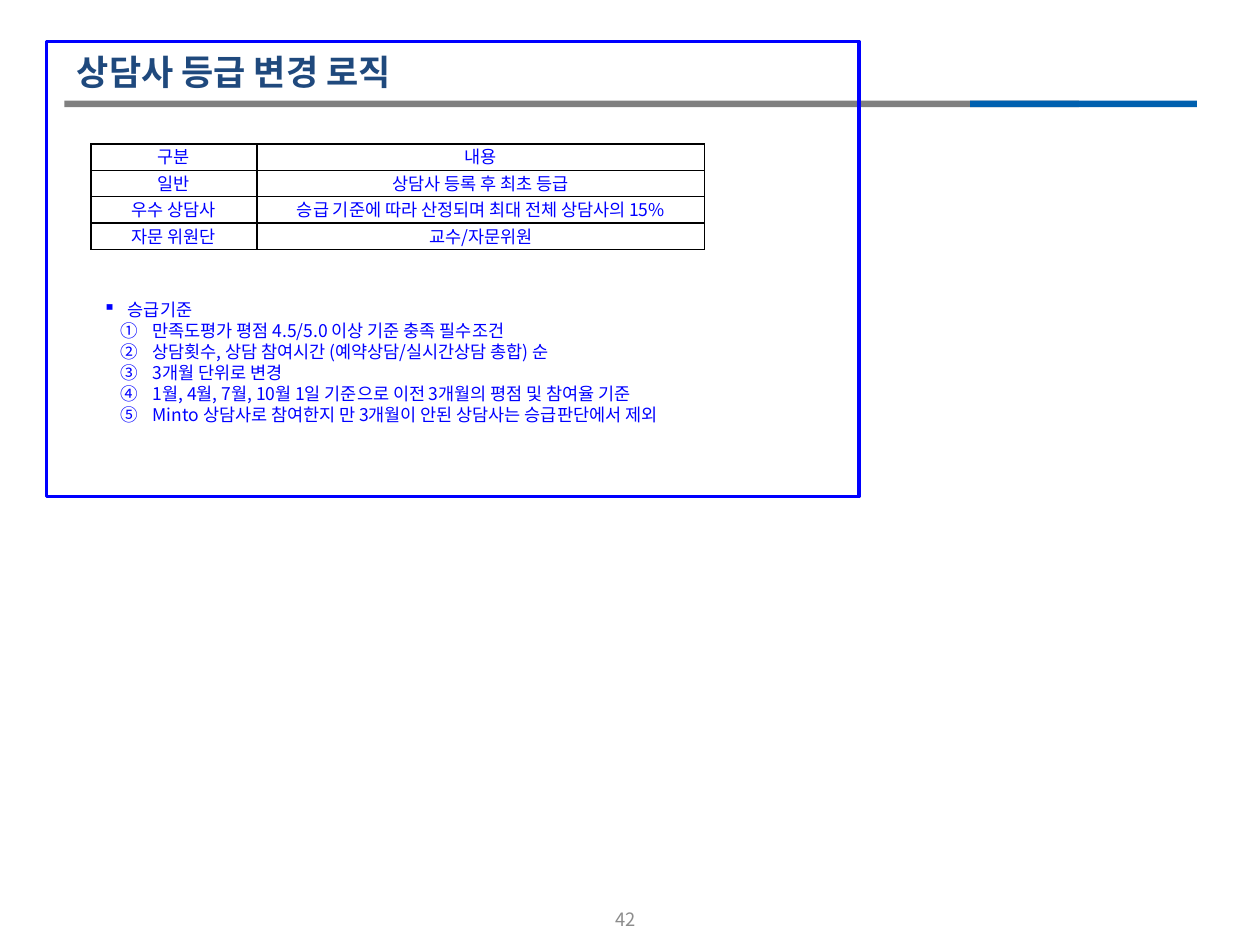
from dataclasses import dataclass

import pptx
import pptx.dml.color
import pptx.enum.shapes
import pptx.enum.text
import pptx.oxml.ns
import pptx.util
from lxml import etree
from pptx.util import Cm

Color = pptx.dml.color.RGBColor
Align = pptx.enum.text.PP_ALIGN
Anchor = pptx.enum.text.MSO_ANCHOR
qn = pptx.oxml.ns.qn


@dataclass(frozen=True)
class Theme:
    font: str = "Noto Sans CJK KR"
    title: Color = Color(0x1F, 0x49, 0x7D)
    accent: Color = Color(0x00, 0x00, 0xFF)
    rule_grey: Color = Color(0x80, 0x80, 0x80)
    rule_blue: Color = Color(0x00, 0x60, 0xAF)
    page: Color = Color(0x8C, 0x8C, 0x8C)
    border: str = "000000"
    title_size: float = 20
    body_size: float = 10
    page_size: float = 10.5
    list_leading: float = 12


@dataclass(frozen=True)
class Box:
    left: float
    top: float
    width: float
    height: float

    def lengths(self) -> tuple:
        return tuple(Cm(n) for n in (self.left, self.top, self.width, self.height))


@dataclass(frozen=True)
class ListItem:
    text: str
    margin: float = 1.0
    hanging: float = 0.64
    tag: str = "a:buAutoNum"
    attribute: tuple = ("type", "circleNumDbPlain")


THEME = Theme()

GRADES = [
    ("구분", "내용"),
    ("일반", "상담사 등록 후 최초 등급"),
    ("우수 상담사", "승급 기준에 따라 산정되며 최대 전체 상담사의 15%"),
    ("자문 위원단", "교수/자문위원"),
]
COLUMN_WIDTHS = (3.35, 9.02)

CRITERIA = [
    ListItem("승급기준", 0.5, 0.5, "a:buChar", ("char", "▪")),
    ListItem("만족도평가 평점 4.5/5.0 이상 기준 충족 필수조건"),
    ListItem("상담횟수, 상담 참여시간 (예약상담/실시간상담 총합) 순"),
    ListItem("3개월 단위로 변경"),
    ListItem("1월, 4월, 7월, 10월 1일 기준으로 이전 3개월의 평점 및 참여율 기준"),
    ListItem("Minto 상담사로 참여한지 만 3개월이 안된 상담사는 승급판단에서 제외"),
]


def add_run(paragraph, text: str, size: float, color: Color, bold: bool = False) -> None:
    run = paragraph.add_run()
    run.text = text
    run.font.name = THEME.font
    run.font.size = pptx.util.Pt(size)
    run.font.color.rgb = color
    run.font.bold = bold
    etree.SubElement(run.font._element, qn("a:ea"), typeface=THEME.font)


def add_text_frame(slide, box: Box, anchor=Anchor.TOP, wrap: bool = False):
    frame = slide.shapes.add_textbox(*box.lengths()).text_frame
    frame.word_wrap = wrap
    frame.vertical_anchor = anchor
    return frame


def add_rectangle(slide, box: Box):
    shape = slide.shapes.add_shape(pptx.enum.shapes.MSO_SHAPE.RECTANGLE, *box.lengths())
    shape.shadow.inherit = False
    return shape


def add_bar(slide, box: Box, color: Color) -> None:
    bar = add_rectangle(slide, box)
    bar.fill.solid()
    bar.fill.fore_color.rgb = color
    bar.line.fill.background()


def set_borders(cell) -> None:
    properties = cell._tc.get_or_add_tcPr()
    for index, side in enumerate(("a:lnL", "a:lnR", "a:lnT", "a:lnB")):
        line = etree.Element(qn(side), w=str(pptx.util.Pt(1)))
        fill = etree.SubElement(line, qn("a:solidFill"))
        etree.SubElement(fill, qn("a:srgbClr"), val=THEME.border)
        properties.insert(index, line)


def add_grade_table(slide, box: Box) -> None:
    table = slide.shapes.add_table(len(GRADES), len(COLUMN_WIDTHS), *box.lengths()).table
    table.first_row = table.horz_banding = False
    for column, width in zip(table.columns, COLUMN_WIDTHS):
        column.width = Cm(width)
    for row_index, texts in enumerate(GRADES):
        for column_index, text in enumerate(texts):
            cell = table.cell(row_index, column_index)
            cell.margin_left = cell.margin_right = Cm(0.18)
            cell.margin_top = cell.margin_bottom = 0
            cell.fill.background()
            set_borders(cell)
            paragraph = cell.text_frame.paragraphs[0]
            paragraph.alignment = Align.CENTER
            add_run(paragraph, text, THEME.body_size, THEME.accent)


def add_criteria(slide, box: Box) -> None:
    frame = add_text_frame(slide, box)
    for index, item in enumerate(CRITERIA):
        paragraph = frame.add_paragraph() if index else frame.paragraphs[0]
        paragraph.line_spacing = pptx.util.Pt(THEME.list_leading)
        properties = paragraph._p.get_or_add_pPr()
        properties.set("marL", str(Cm(item.margin)))
        properties.set("indent", str(-Cm(item.hanging)))
        name, value = item.attribute
        etree.SubElement(properties, qn(item.tag)).set(name, value)
        add_run(paragraph, item.text, THEME.body_size, THEME.accent)


def main() -> None:
    presentation = pptx.Presentation()
    presentation.slide_width = Cm(25.4)
    presentation.slide_height = Cm(19.05)
    slide = presentation.slides.add_slide(presentation.slide_layouts[6])

    # Title and the two-tone rule below it
    title = add_text_frame(slide, Box(1.3, 0.89, 7.67, 1.12), Anchor.MIDDLE)
    add_run(title.paragraphs[0], "상담사 등급 변경 로직", THEME.title_size, THEME.title, True)
    add_bar(slide, Box(1.3, 2.03, 20.45, 0.13), THEME.rule_grey)
    add_bar(slide, Box(19.56, 2.03, 4.57, 0.13), THEME.rule_blue)

    # Promotion criteria
    add_criteria(slide, Box(1.83, 5.9, 12.83, 4.11))

    # Page number
    page = add_text_frame(slide, Box(9.65, 18.01, 5.92, 1.02), Anchor.MIDDLE, wrap=True)
    page.paragraphs[0].alignment = Align.CENTER
    add_run(page.paragraphs[0], "42", THEME.page_size, THEME.page)

    # Counsellor grades
    add_grade_table(slide, Box(1.83, 2.9, sum(COLUMN_WIDTHS), 2.13))

    # Highlight frame
    frame = add_rectangle(slide, Box(0.94, 0.84, 16.38, 9.17))
    frame.fill.background()
    frame.line.color.rgb = THEME.accent
    frame.line.width = pptx.util.Pt(2)

    presentation.save("out.pptx")


if __name__ == "__main__":
    main()
